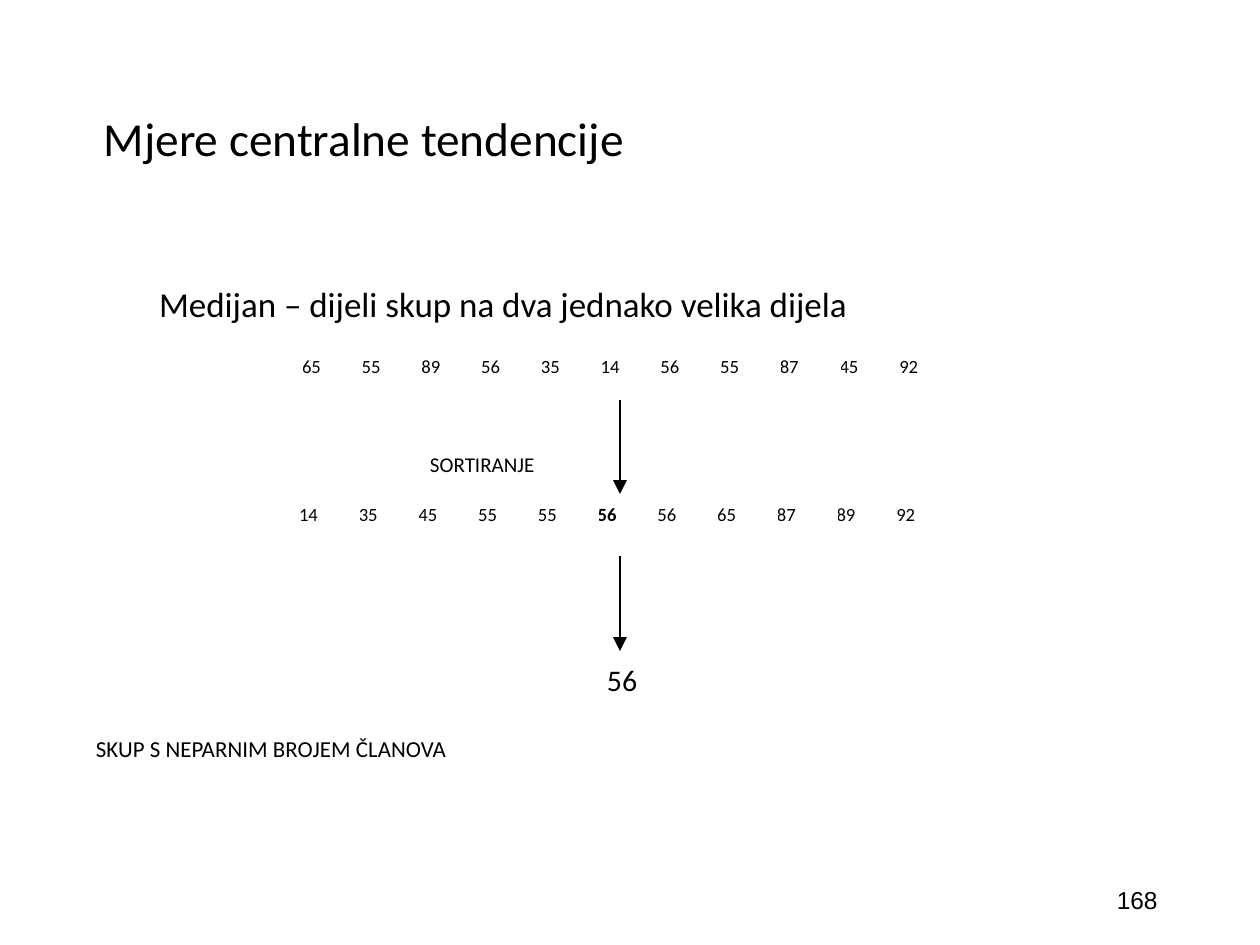
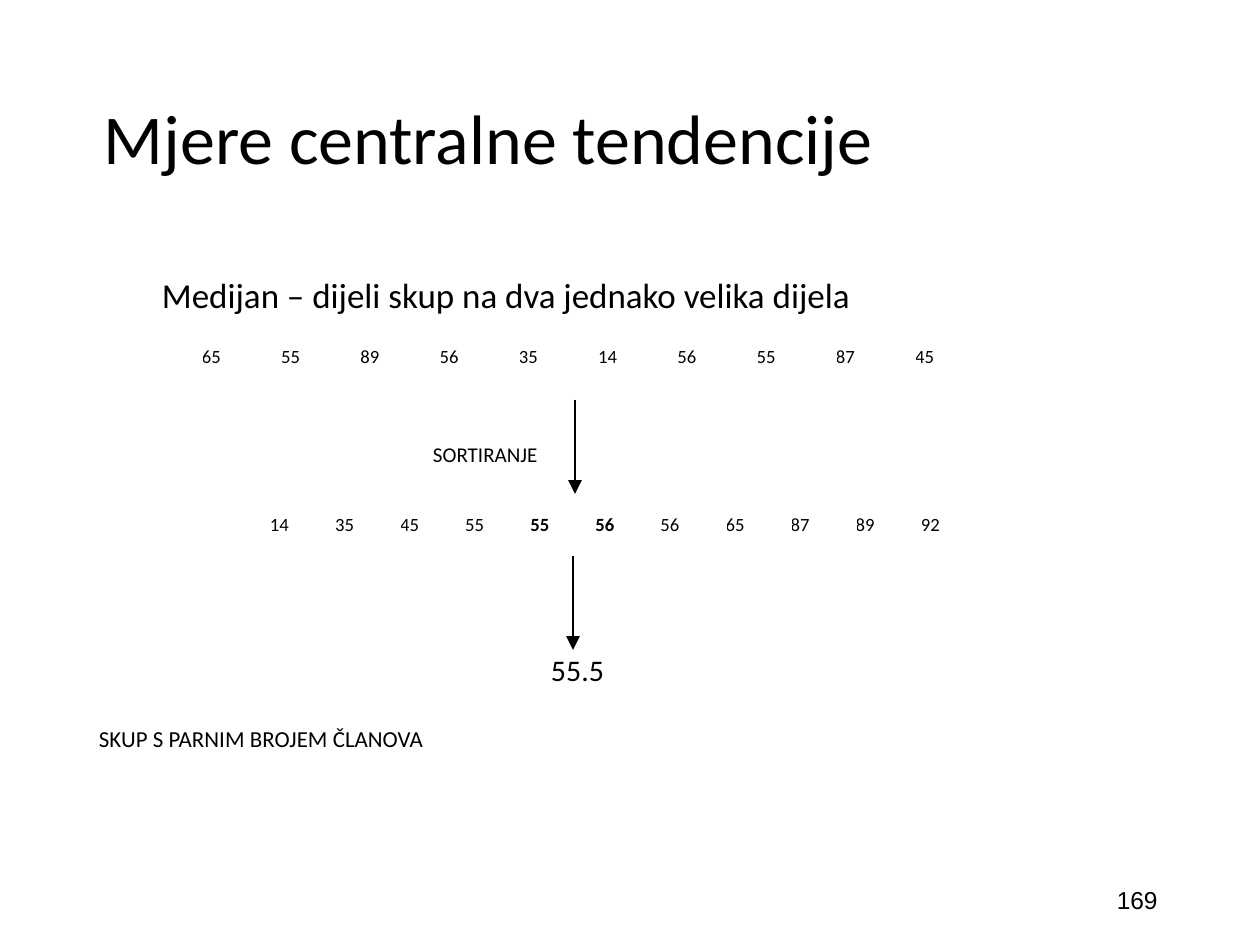
from lxml.etree import SubElement
from pptx import Presentation
from pptx.dml.color import RGBColor
from pptx.enum.shapes import MSO_CONNECTOR
from pptx.enum.text import MSO_ANCHOR, MSO_AUTO_SIZE, PP_ALIGN
from pptx.oxml.ns import qn
from pptx.util import Emu, Pt

COLORS = {"ink": "000000", "paper": "FFFFFF"}
FONTS = {"main": "Calibri", "number": "Arial"}


def px(count):
    """Turn pixels at 168 to the inch into EMU."""
    return Emu(round(count * 914400 / 168))


class MedianDeck:
    """Hold the shared style and the current slide."""

    def __init__(self):
        """Start a deck with the page size set."""
        self.deck = Presentation()
        self.deck.slide_width, self.deck.slide_height = px(1260), px(945)
        self.page = None

    def place(self, shape, left, top, width, height):
        """Move and size a shape."""
        shape.left, shape.top = px(left), px(top)
        shape.width, shape.height = px(width), px(height)

    def frame(self, shape, anchor):
        """Prepare the text frame of a shape."""
        box = shape.text_frame
        box.word_wrap = True
        box.auto_size = MSO_AUTO_SIZE.NONE
        box.vertical_anchor = anchor
        return box

    def add_span(self, para, text, size, bold=False, font="main"):
        """Add one styled run to a paragraph."""
        span = para.add_run()
        span.text = text
        span.font.size = Pt(size)
        span.font.bold = bold
        span.font.name = FONTS[font]
        span.font.color.rgb = RGBColor.from_string(COLORS["ink"])

    def add_page(self, title, size, number):
        """Add a page with its title and page number."""
        self.page = self.deck.slides.add_slide(self.deck.slide_layouts[1])
        fill = self.page.background.fill
        fill.solid()
        fill.fore_color.rgb = RGBColor.from_string(COLORS["paper"])
        heading = self.page.shapes.title
        self.place(heading, 87, 50, 1087, 183)
        para = self.frame(heading, MSO_ANCHOR.MIDDLE).paragraphs[0]
        para.alignment = PP_ALIGN.LEFT
        para.line_spacing = 0.9
        self.add_span(para, title, size)
        footer = self.page.shapes.add_textbox(px(890), px(875), px(284), px(50))
        para = self.frame(footer, MSO_ANCHOR.MIDDLE).paragraphs[0]
        para.alignment = PP_ALIGN.RIGHT
        self.add_span(para, number, 10.5, font="number")

    def add_body(self, left, top, lines):
        """Fill the body from (text, size, indent, space before) lines."""
        body = self.page.placeholders[1]
        self.place(body, left, top, 1134, 623)
        box = self.frame(body, MSO_ANCHOR.TOP)
        box.margin_left = box.margin_right = px(12)
        box.margin_top, box.margin_bottom = px(56), px(7)
        for index, (text, size, indent, gap) in enumerate(lines):
            para = box.add_paragraph() if index else box.paragraphs[0]
            properties = para._p.get_or_add_pPr()
            properties.set("marL", str(px(indent)))
            properties.set("indent", "0")
            SubElement(properties, qn("a:buNone"))
            para.alignment = PP_ALIGN.LEFT
            para.line_spacing = 1.0
            para.space_before = px(gap)
            self.add_span(para, text, size)

    def add_row(self, left, top, width, values, middle=()):
        """Add a one-row table, with the middle columns in bold."""
        frame = self.page.shapes.add_table(
            1, len(values), px(left), px(top), px(width), px(22))
        table = frame.table
        table.first_row = table.horz_banding = False
        for index, value in enumerate(values):
            table.columns[index].width = px(width / len(values))
            cell = table.cell(0, index)
            cell.fill.background()
            cell.margin_left = cell.margin_right = 0
            cell.margin_top = cell.margin_bottom = 0
            cell.vertical_anchor = MSO_ANCHOR.MIDDLE
            para = cell.text_frame.paragraphs[0]
            self.add_span(para, str(value), 8, index in middle)

    def add_arrow(self, x, top, bottom):
        """Add a thin arrow pointing down."""
        arrow = self.page.shapes.add_connector(
            MSO_CONNECTOR.STRAIGHT, px(x), px(top), px(x), px(bottom))
        arrow.line.width = Pt(0.5)
        arrow.line.color.rgb = RGBColor.from_string(COLORS["ink"])
        properties = arrow._element.spPr
        SubElement(properties.find(qn("a:ln")), qn("a:tailEnd"), type="triangle")
        SubElement(properties, qn("a:effectLst"))

    def add_median(self, origin, median, indent, caption):
        """Add the definition, sorting label, median and caption."""
        self.add_body(*origin, [
            ("Medijan – dijeli skup na dva jednako velika dijela", 15, 63, 0),
            ("SORTIRANJE", 9, 334, 126),
            (median, 12.8, indent, 185),
            (caption, 9.8, 0, 38),
        ])


def main():
    """Build and save both pages."""
    title = "Mjere centralne tendencije"
    numbers = [65, 55, 89, 56, 35, 14, 56, 55, 87, 45, 92]
    ordered = sorted(numbers)
    show = MedianDeck()

    show.add_page(title, 20.3, "168")
    show.add_median((84, 227), "56", 511, "SKUP S NEPARNIM BROJEM ČLANOVA")
    show.add_row(302, 356, 657, numbers)
    show.add_row(299, 504, 657, ordered, middle=(5,))
    show.add_arrow(620, 400, 494)
    show.add_arrow(620, 556, 651)

    show.add_page(title, 30, "169")
    show.add_median((87, 217), "55.5", 452, "SKUP S PARNIM BROJEM ČLANOVA")
    show.add_arrow(575, 400, 494)
    show.add_arrow(573, 556, 650)
    show.add_row(202, 346, 793, numbers[:-1])
    show.add_row(270, 514, 716, ordered, middle=(4, 5))

    show.deck.save("out.pptx")


if __name__ == "__main__":
    main()
